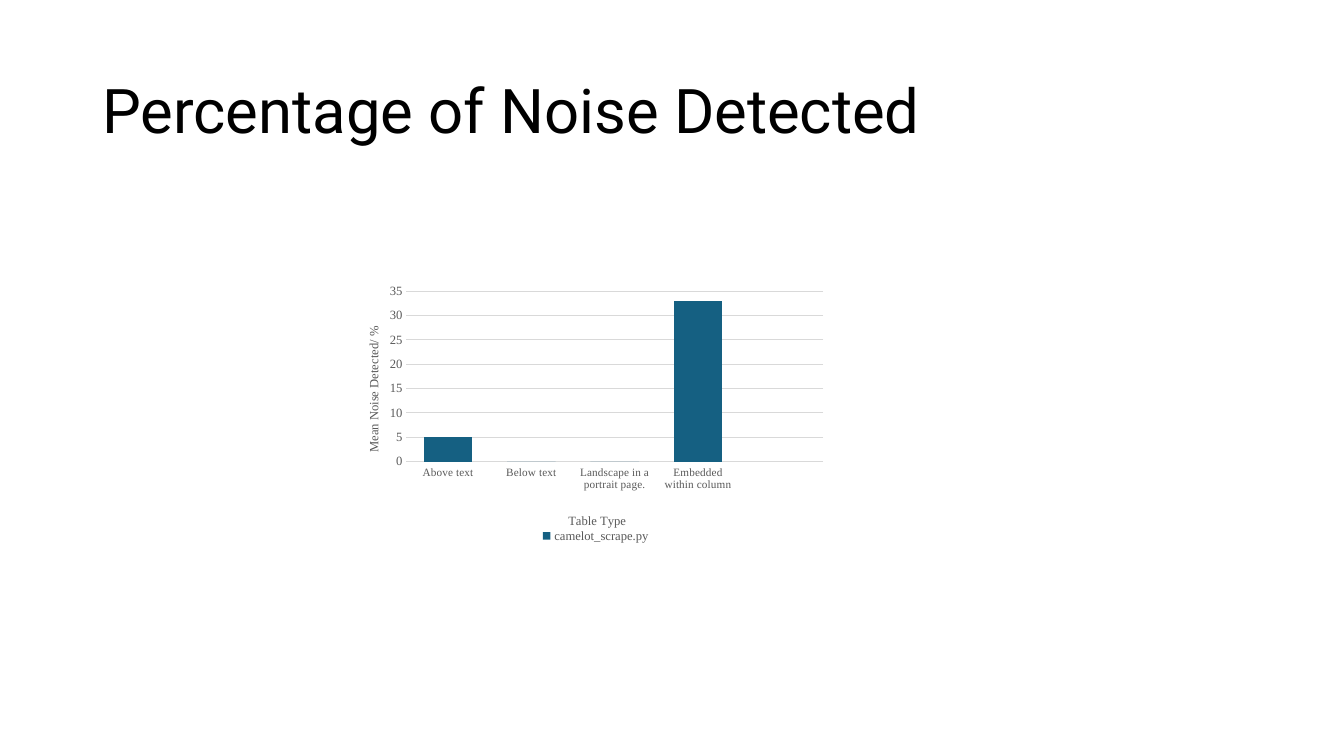
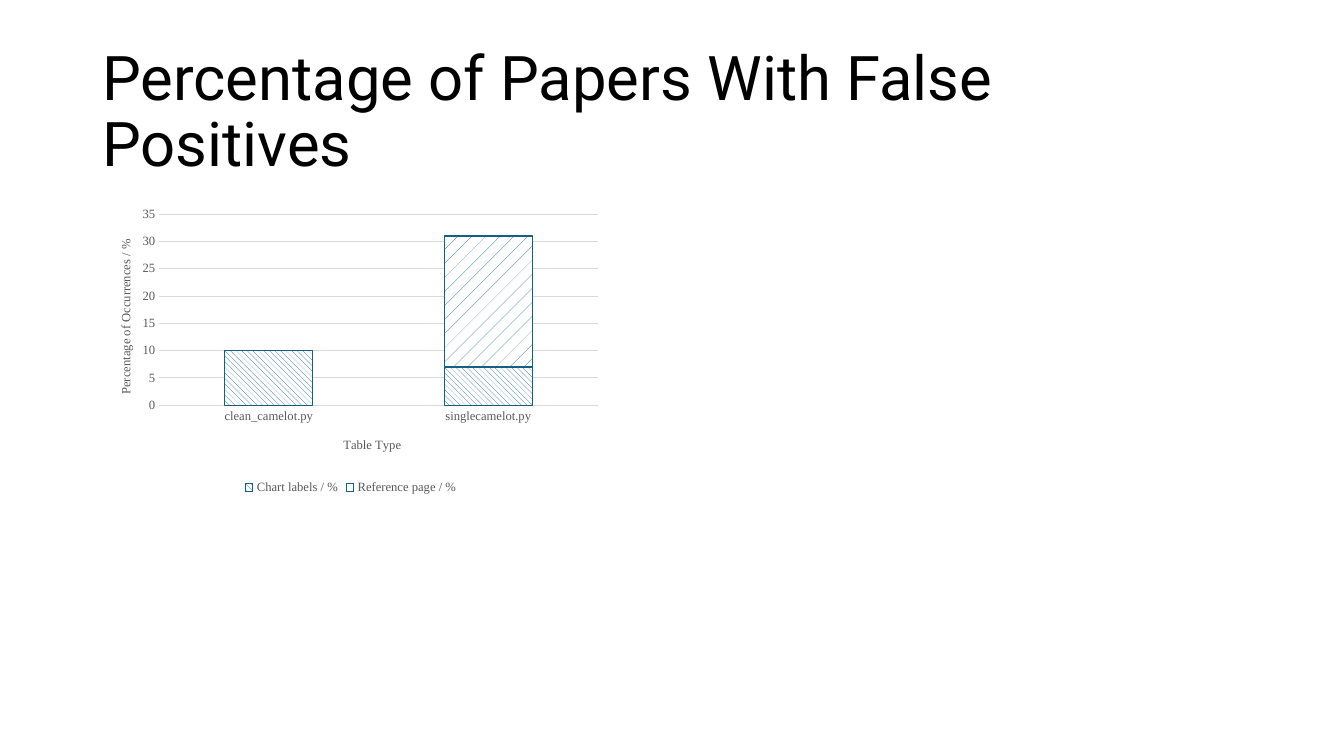
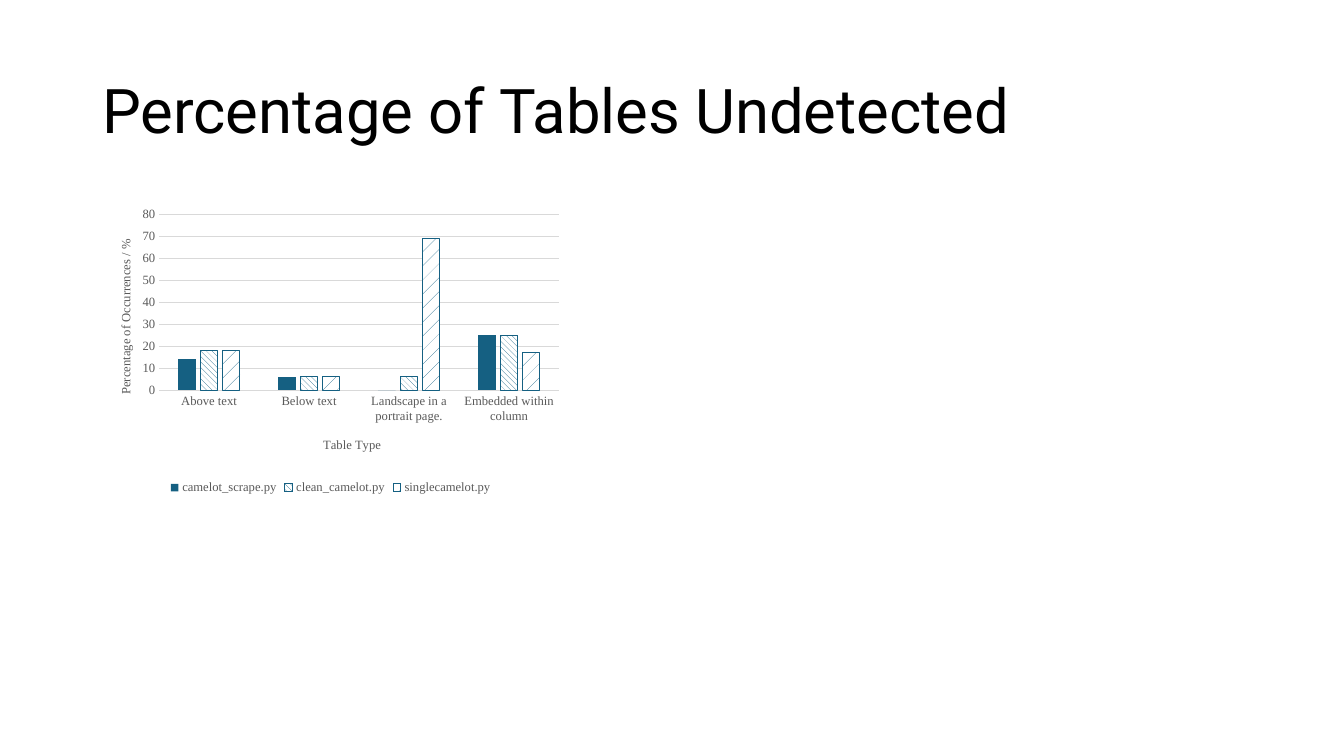
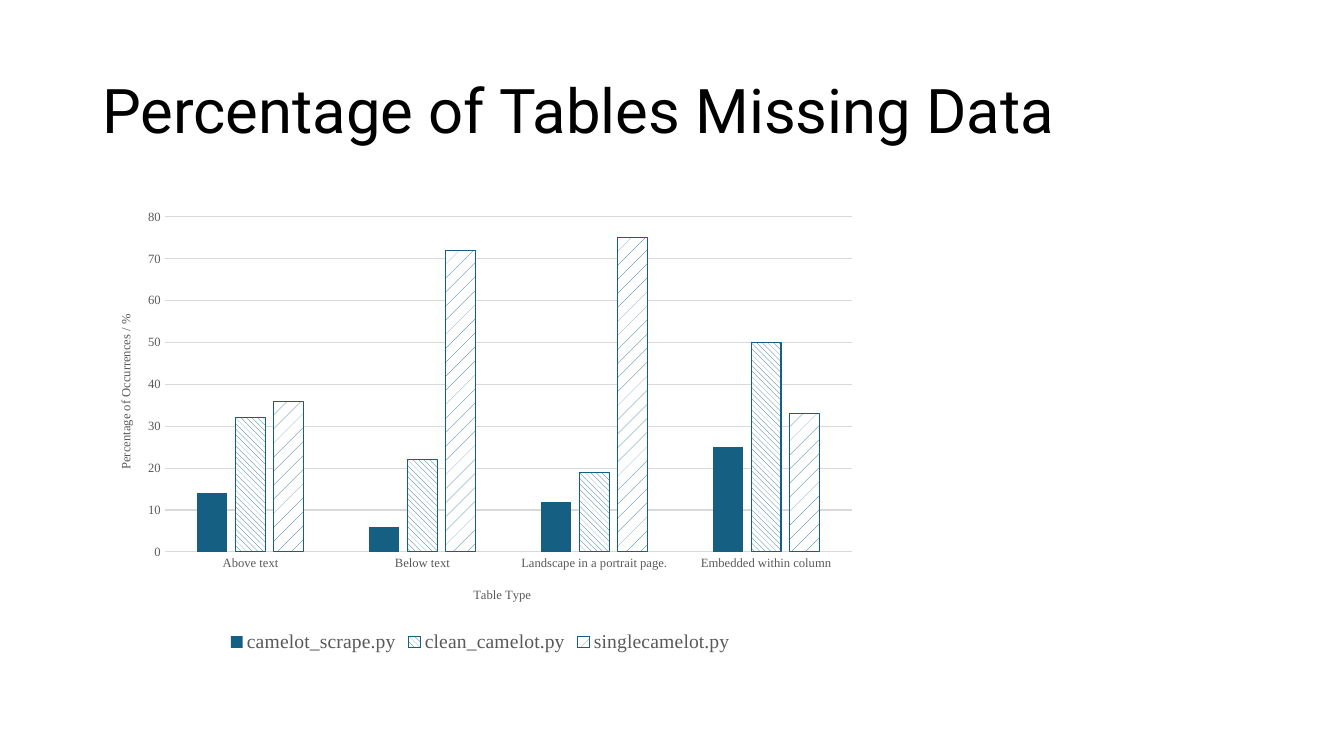
"""Build four slides that chart the results of table extraction scripts."""
import lxml.etree
import pptx
import pptx.chart.data
import pptx.dml.color
import pptx.enum.chart
import pptx.enum.dml
import pptx.enum.text
import pptx.oxml.ns
import pptx.util

COLOURS = {"title": "000000", "label": "595959", "grid": "D9D9D9", "bar": "156082", "back": "FFFFFF"}
TITLE_FONT = "Roboto"
CHART_FONT = "Times New Roman"
TITLE_BOX = (66, 28.8, 828, 104.4)
HAIRLINE = 0.75
CLUSTERED = pptx.enum.chart.XL_CHART_TYPE.COLUMN_CLUSTERED
STACKED = pptx.enum.chart.XL_CHART_TYPE.COLUMN_STACKED
PATTERN = pptx.enum.dml.MSO_PATTERN
SCRIPTS = {
    "camelot_scrape.py": None,
    "clean_camelot.py": PATTERN.WIDE_DOWNWARD_DIAGONAL,
    "singlecamelot.py": PATTERN.PERCENT_5,
}
PAPER_FAULTS = {
    "Chart labels / %": PATTERN.WIDE_DOWNWARD_DIAGONAL,
    "Reference page / %": PATTERN.PERCENT_5,
}
TABLE_TYPES = ["Above text", "Below text", "Landscape in a portrait page.", "Embedded within column"]
OCCURRENCES = "Percentage of Occurrences / %"

SLIDES = [
    {
        "title": "Percentage of Noise Detected", "kind": CLUSTERED,
        "box": (255.6, 178.56, 339.84, 212.4), "plot": (34.66, 29.52, 297.7, 121.7),
        "category_title_at": (148.7, 185.7), "value_title_at": (3.7, 52.9),
        "value_title": "Mean Noise Detected/ %", "maximum": 35, "step": 5,
        "gap": 71, "overlap": 100, "category_size": 8, "legend_size": 9,
        "categories": TABLE_TYPES + [""], "patterns": SCRIPTS,
        "values": [(5, 0, 0, 33, None)],
    },
    {
        "title": "Percentage of Papers With False Positives", "kind": STACKED,
        "box": (66.24, 144, 368.64, 212.4), "plot": (47.4, 9, 313.5, 136.5),
        "category_title_at": (177.4, 166), "value_title_at": (16, 25.3),
        "value_title": OCCURRENCES, "maximum": 35, "step": 5,
        "gap": 150, "overlap": 100, "category_size": 9, "legend_size": 9,
        "categories": ["clean_camelot.py", "singlecamelot.py"], "patterns": PAPER_FAULTS,
        "values": [(10, 7), (0, 24)],
    },
    {
        "title": "Percentage of Tables Undetected", "kind": CLUSTERED,
        "box": (66.24, 144, 339.84, 212.4), "plot": (47.4, 9, 285.7, 125.7),
        "category_title_at": (163, 166), "value_title_at": (16, 25.3),
        "value_title": OCCURRENCES, "maximum": 80, "step": 10,
        "gap": 219, "overlap": -27, "category_size": 9, "legend_size": 9,
        "categories": TABLE_TYPES, "patterns": SCRIPTS,
        "values": [(14, 6, 0, 25), (18, 6, 6, 25), (18, 6, 69, 17)],
    },
    {
        "title": "Percentage of Tables Missing Data", "kind": CLUSTERED,
        "box": (66.24, 144, 553.68, 325.44), "plot": (51.3, 11, 491, 239.3),
        "category_title_at": (270.2, 273.1), "value_title_at": (16, 78.9),
        "value_title": OCCURRENCES, "maximum": 80, "step": 10,
        "gap": 219, "overlap": -27, "category_size": 9, "legend_size": 14,
        "categories": TABLE_TYPES, "patterns": SCRIPTS,
        "values": [(14, 6, 12, 25), (32, 22, 19, 50), (36, 72, 75, 33)],
    },
]


def points(lengths):
    return [pptx.util.Pt(length) for length in lengths]


def colour(name):
    return pptx.dml.color.RGBColor.from_string(COLOURS[name])


def style_font(font, name, size, colour_name):
    font.name = name
    font.size = pptx.util.Pt(size)
    font.bold = False
    font.color.rgb = colour(colour_name)


def style_line(line, colour_name):
    line.color.rgb = colour(colour_name)
    line.width = pptx.util.Pt(HAIRLINE)


def add_title(page, text):
    box = page.shapes.add_textbox(*points(TITLE_BOX))
    frame = box.text_frame
    frame.word_wrap = True
    frame.vertical_anchor = pptx.enum.text.MSO_ANCHOR.MIDDLE
    para = frame.paragraphs[0]
    para.line_spacing = 0.9
    span = para.add_run()
    span.text = text
    style_font(span.font, TITLE_FONT, 44, "title")


def set_layout(parent, index, chart_box, place):
    qn = pptx.oxml.ns.qn
    for old in parent.findall(qn("c:layout")):
        parent.remove(old)
    layout = parent.makeelement(qn("c:layout"))
    parent.insert(index, layout)
    manual = lxml.etree.SubElement(layout, qn("c:manualLayout"))
    settings = [("xMode", "edge"), ("yMode", "edge")]
    if len(place) == 4:
        settings.insert(0, ("layoutTarget", "inner"))
    sides = chart_box[2:] * 2
    settings += [(key, f"{length / side:.4f}") for key, length, side in zip("xywh", place, sides)]
    for key, value in settings:
        lxml.etree.SubElement(manual, qn(f"c:{key}")).set("val", value)


def style_axis(axis, title, chart_box, title_at, size):
    axis.major_tick_mark = axis.minor_tick_mark = pptx.enum.chart.XL_TICK_MARK.NONE
    style_font(axis.tick_labels.font, CHART_FONT, size, "label")
    frame = axis.axis_title.text_frame
    span = frame.paragraphs[0].add_run()
    span.text = title
    style_font(span.font, CHART_FONT, 9, "label")
    set_layout(axis.axis_title.element, 1, chart_box, title_at)


def style_value_axis(axis, maximum, step):
    axis.minimum_scale = 0
    axis.maximum_scale = maximum
    axis.major_unit = step
    axis.format.line.fill.background()
    axis.has_major_gridlines = True
    style_line(axis.major_gridlines.format.line, "grid")
    body = axis.axis_title.element.find(".//" + pptx.oxml.ns.qn("a:bodyPr"))
    body.set("rot", "-5400000")
    body.set("vert", "horz")


def style_bars(series, pattern):
    series.invert_if_negative = False
    fill = series.format.fill
    if pattern is None:
        fill.solid()
        fill.fore_color.rgb = colour("bar")
        series.format.line.fill.background()
        return
    fill.patterned()
    fill.pattern = pattern
    fill.fore_color.rgb = colour("bar")
    fill.back_color.rgb = colour("back")
    style_line(series.format.line, "bar")


def add_column_chart(page, content):
    data = pptx.chart.data.CategoryChartData()
    data.categories = content["categories"]
    for name, values in zip(content["patterns"], content["values"]):
        data.add_series(name, values)
    box = content["box"]
    chart = page.shapes.add_chart(content["kind"], *points(box), data).chart
    chart.has_title = False
    style_font(chart.font, CHART_FONT, 9, "label")

    plot = chart.plots[0]
    plot.vary_by_categories = False
    plot.gap_width = content["gap"]
    plot.overlap = content["overlap"]
    for series, pattern in zip(plot.series, content["patterns"].values()):
        style_bars(series, pattern)
    plot_area = chart.element.find(".//" + pptx.oxml.ns.qn("c:plotArea"))
    set_layout(plot_area, 0, box, content["plot"])

    style_axis(chart.category_axis, "Table Type", box, content["category_title_at"], content["category_size"])
    style_line(chart.category_axis.format.line, "grid")
    style_axis(chart.value_axis, content["value_title"], box, content["value_title_at"], 9)
    style_value_axis(chart.value_axis, content["maximum"], content["step"])

    chart.has_legend = True
    chart.legend.position = pptx.enum.chart.XL_LEGEND_POSITION.BOTTOM
    chart.legend.include_in_layout = False
    style_font(chart.legend.font, CHART_FONT, content["legend_size"], "label")


def main():
    deck = pptx.Presentation()
    deck.slide_width, deck.slide_height = points((960, 540))
    for content in SLIDES:
        page = deck.slides.add_slide(deck.slide_layouts[6])
        add_title(page, content["title"])
        add_column_chart(page, content)
    deck.save("out.pptx")


if __name__ == "__main__":
    main()
